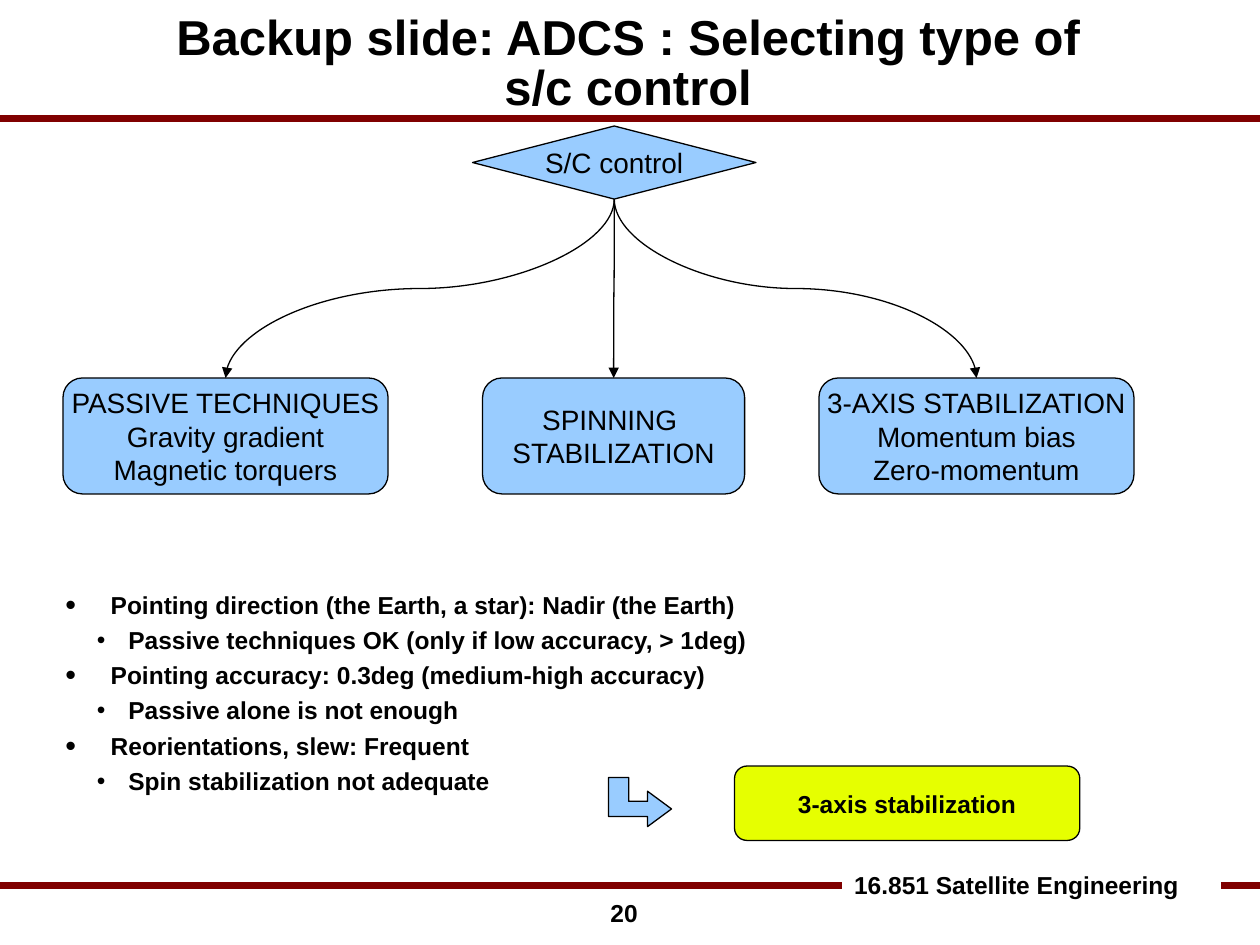
"""Build the spacecraft control selection slide."""

import dataclasses
import typing

import lxml.etree
import pptx
import pptx.dml.color
import pptx.enum.shapes
import pptx.enum.text
import pptx.oxml.ns
import pptx.util

Inches = pptx.util.Inches
Pt = pptx.util.Pt
Align = pptx.enum.text.PP_ALIGN
Anchor = pptx.enum.text.MSO_ANCHOR
ShapeType = pptx.enum.shapes.MSO_SHAPE
ConnectorType = pptx.enum.shapes.MSO_CONNECTOR
qn = pptx.oxml.ns.qn


@dataclasses.dataclass(frozen=True)
class Theme:
    font: str = "Arial"
    black: str = "000000"
    white: str = "FFFFFF"
    maroon: str = "800000"
    blue: str = "99CCFF"
    yellow: str = "E6FF00"
    title_size: float = 28
    node_size: float = 16
    body_size: float = 14
    outline: float = 0.75
    bar: float = 4


class Box(typing.NamedTuple):
    left: float
    top: float
    width: float
    height: float

    def lengths(self) -> list[int]:
        return [Inches(value) for value in self]


class Node(typing.NamedTuple):
    kind: typing.Any
    box: Box
    lines: tuple[str, ...]
    fill: str
    size: float
    bold: bool = False


class Point(typing.NamedTuple):
    x: float
    y: float


class BulletLevel(typing.NamedTuple):
    margin: float
    hanging: float
    size_percent: int


THEME = Theme()
ROUNDED = ShapeType.ROUNDED_RECTANGLE
CONTROL = Node(ShapeType.DIAMOND, Box(3.75, 1, 2.25, 0.58), ("S/C control",), THEME.blue, THEME.node_size)
OPTIONS = [
    Node(ROUNDED, Box(left, 3, width, 0.92), lines, THEME.blue, THEME.node_size)
    for left, width, lines in (
        (0.5, 2.58, ("PASSIVE TECHNIQUES", "Gravity gradient", "Magnetic torquers")),
        (3.83, 2.08, ("SPINNING ", "STABILIZATION")),
        (6.5, 2.5, ("3-AXIS STABILIZATION", "Momentum bias", "Zero-momentum")),
    )
]
CHOICE = Node(ROUNDED, Box(5.83, 6.08, 2.74, 0.59), ("3-axis stabilization",), THEME.yellow, THEME.body_size, True)
BARS = [
    (Point(0, 0.94), Point(10, 0.94)),
    (Point(9.69, 7.03), Point(10, 7.03)),
    (Point(0, 7.03), Point(6.68, 7.03)),
]
BENT_ARROW = [
    Point(5.14, 6.28), Point(5.14, 6.36), Point(4.99, 6.36), Point(4.99, 6.17), Point(4.83, 6.17),
    Point(4.83, 6.48), Point(5.14, 6.48), Point(5.14, 6.56), Point(5.33, 6.42),
]
LEVELS = [BulletLevel(0.36, 0.36, 125), BulletLevel(0.5, 0.25, 100)]
CRITERIA = [
    (0, "Pointing direction (the Earth, a star): Nadir (the Earth)"),
    (1, "Passive techniques OK (only if low accuracy, > 1deg)"),
    (0, "Pointing accuracy: 0.3deg (medium-high accuracy)"),
    (1, "Passive alone is not enough"),
    (0, "Reorientations, slew: Frequent"),
    (1, "Spin stabilization not adequate"),
]


def rgb(value: str) -> pptx.dml.color.RGBColor:
    return pptx.dml.color.RGBColor.from_string(value)


def style_paragraph(paragraph, size: float, bold: bool, alignment=Align.LEFT) -> None:
    paragraph.alignment = alignment
    paragraph.font.name = THEME.font
    paragraph.font.size = Pt(size)
    paragraph.font.bold = bold
    paragraph.font.color.rgb = rgb(THEME.black)


def write_lines(frame, lines: typing.Iterable[str], size: float, bold: bool, alignment=Align.LEFT) -> None:
    for index, line in enumerate(lines):
        paragraph = frame.paragraphs[0] if index == 0 else frame.add_paragraph()
        paragraph.text = line
        style_paragraph(paragraph, size, bold, alignment)


def add_text(slide, box: Box, lines: typing.Iterable[str], size: float, alignment=Align.LEFT):
    frame = slide.shapes.add_textbox(*box.lengths()).text_frame
    frame.word_wrap = True
    write_lines(frame, lines, size, True, alignment)
    return frame


def paint(shape, fill: str) -> None:
    shape.shadow.inherit = False
    shape.fill.solid()
    shape.fill.fore_color.rgb = rgb(fill)
    shape.line.color.rgb = rgb(THEME.black)
    shape.line.width = Pt(THEME.outline)


def add_node(slide, node: Node) -> None:
    shape = slide.shapes.add_shape(node.kind, *node.box.lengths())
    paint(shape, node.fill)
    shape.text_frame.word_wrap = False
    shape.text_frame.vertical_anchor = Anchor.MIDDLE
    write_lines(shape.text_frame, node.lines, node.size, node.bold, Align.CENTER)


def add_line(slide, kind, start: Point, end: Point, color: str, width: float):
    connector = slide.shapes.add_connector(kind, *(Inches(value) for value in (*start, *end)))
    connector.line.color.rgb = rgb(color)
    connector.line.width = Pt(width)
    lxml.etree.SubElement(connector._element.spPr, qn("a:effectLst"))
    return connector


def add_branch(slide, start: Point, end: Point) -> None:
    """Draw a curved arrow that leaves and arrives vertically."""
    center = Point((start.x + end.x) / 2, (start.y + end.y) / 2)
    half_drop, half_span = (end.y - start.y) / 2, abs(end.x - start.x) / 2
    side = 1 if end.x > start.x else -1
    connector = add_line(
        slide,
        ConnectorType.CURVE,
        Point(center.x + side * half_drop, center.y - half_span),
        Point(center.x - side * half_drop, center.y + half_span),
        THEME.black,
        THEME.outline,
    )
    connector._element.spPr.find(qn("a:xfrm")).set("rot", str((270 if side > 0 else 90) * 60000))
    lxml.etree.SubElement(connector.line._get_or_add_ln(), qn("a:tailEnd"), type="triangle")


def add_bullet(paragraph, level: BulletLevel) -> None:
    properties = paragraph._p.get_or_add_pPr()
    properties.set("marL", str(Inches(level.margin)))
    properties.set("indent", str(-Inches(level.hanging)))
    color = lxml.etree.Element(qn("a:buClr"))
    lxml.etree.SubElement(color, qn("a:srgbClr"), val=THEME.black)
    size = lxml.etree.Element(qn("a:buSzPct"), val=str(level.size_percent * 1000))
    font = lxml.etree.Element(qn("a:buFont"), typeface=THEME.font)
    character = lxml.etree.Element(qn("a:buChar"), char="•")
    default_font = properties.find(qn("a:defRPr"))
    for element in (color, size, font, character):
        default_font.addprevious(element)


def add_criteria(slide) -> None:
    frame = add_text(slide, Box(0.42, 4.67, 9.25, 2.17), [text for _, text in CRITERIA], THEME.body_size)
    for paragraph, (level, _) in zip(frame.paragraphs, CRITERIA):
        paragraph.level = level
        add_bullet(paragraph, LEVELS[level])
        paragraph.line_spacing = 0.84
        paragraph.space_before = Pt(6)


def add_bent_arrow(slide) -> None:
    first, *others = [(Inches(point.x), Inches(point.y)) for point in BENT_ARROW]
    builder = slide.shapes.build_freeform(*first)
    builder.add_line_segments(others, close=True)
    paint(builder.convert_to_shape(), THEME.blue)


def main() -> None:
    presentation = pptx.Presentation()
    presentation.slide_width, presentation.slide_height = Inches(10), Inches(7.5)
    slide = presentation.slides.add_slide(presentation.slide_layouts[6])
    for start, end in BARS:
        add_line(slide, ConnectorType.STRAIGHT, start, end, THEME.maroon, THEME.bar)
    footer = add_text(slide, Box(6.68, 6.86, 2.78, 0.34), ["16.851 Satellite Engineering"], THEME.body_size)
    footer.word_wrap = False
    title = add_text(slide, Box(1.11, 0.05, 7.75, 0.93), ["Backup slide: ADCS : Selecting type of s/c control"],
                     THEME.title_size, Align.CENTER)
    title.vertical_anchor = Anchor.MIDDLE
    title.paragraphs[0].line_spacing = Pt(28.9)
    add_criteria(slide)
    for node in (CONTROL, *OPTIONS, CHOICE):
        add_node(slide, node)
    fork = Point(CONTROL.box.left + CONTROL.box.width / 2, CONTROL.box.top + CONTROL.box.height)
    for option in OPTIONS:
        add_branch(slide, fork, Point(option.box.left + option.box.width / 2, option.box.top))
    add_bent_arrow(slide)
    add_text(slide, Box(3.83, 7.08, 1.33, 0.34), ["20"], THEME.body_size, Align.RIGHT)
    presentation.save("out.pptx")


if __name__ == "__main__":
    main()
